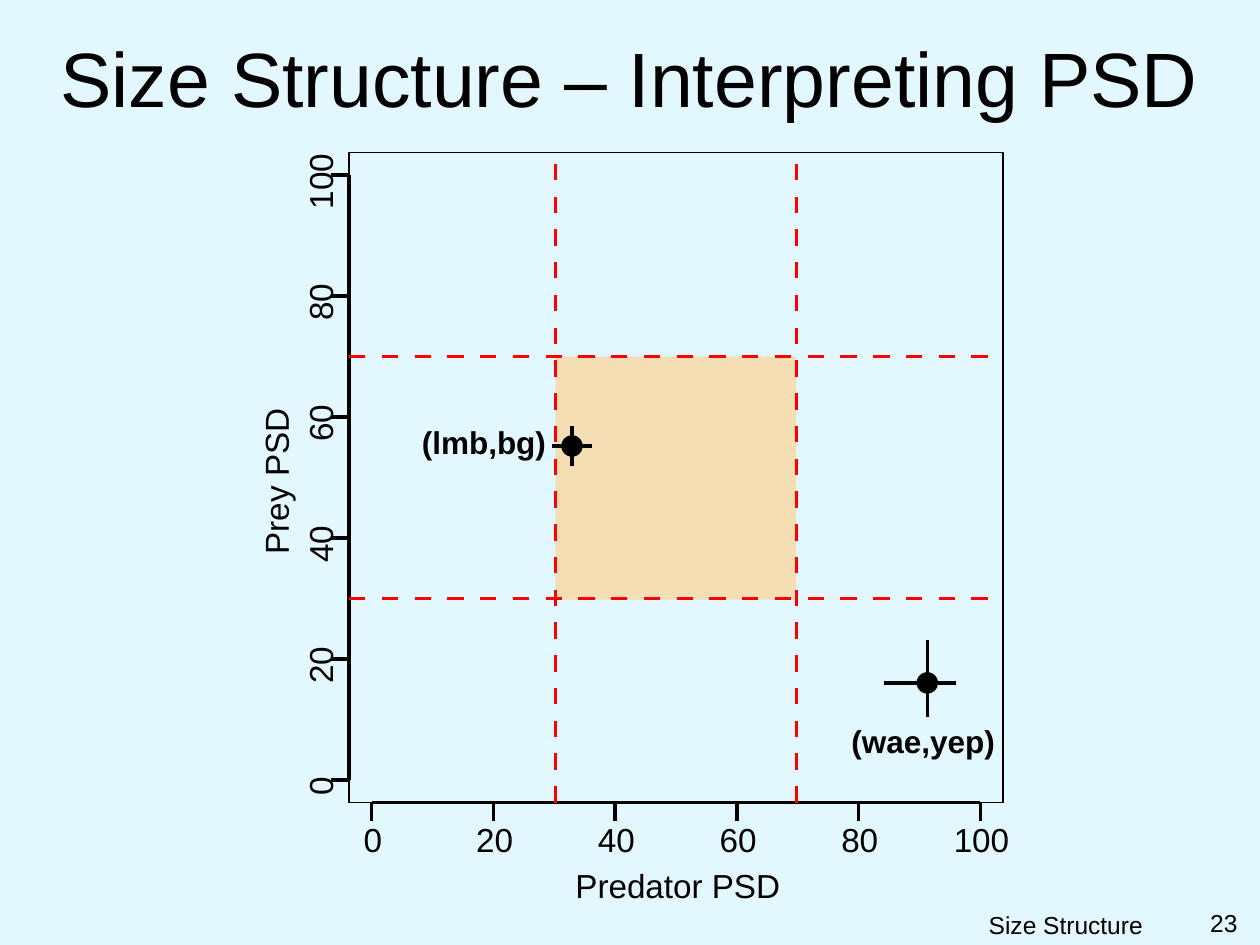
"""Build the slide on interpreting predator and prey PSD values."""
import pptx
import pptx.util
import pptx.dml.color
import pptx.enum.shapes
import pptx.enum.text
import pptx.oxml.ns
from lxml import etree

Inches, Pt = pptx.util.Inches, pptx.util.Pt
RGBColor = pptx.dml.color.RGBColor
SHAPE = pptx.enum.shapes.MSO_SHAPE
ALIGN = pptx.enum.text.PP_ALIGN
ANCHOR = pptx.enum.text.MSO_ANCHOR

BACKGROUND = RGBColor(0xE2, 0xF7, 0xFE)
BLACK = RGBColor(0, 0, 0)
RED = RGBColor(0xFF, 0, 0)
WHEAT = RGBColor(0xF5, 0xDE, 0xB3)

TITLE = "Size Structure – Interpreting PSD"
FOOTER = "Size Structure"
PAGE = "23"
X_TITLE = "Predator PSD"
Y_TITLE = "Prey PSD"
TICKS = [0, 20, 40, 60, 80, 100]

LEFT, TOP, WIDTH, HEIGHT = 2.77, 1.21, 5.19, 5.16
BOTTOM = TOP + HEIGHT
X_ZERO, X_STEP = 2.95, 0.966
Y_ZERO, Y_STEP = 6.19, 0.96
LIMITS_X = [6.32, 4.41]
LIMITS_Y = [4.75, 2.83]
DASH, DASH_STEP, DASHES = 0.13, 0.26, 20
DOT = 0.16

POINTS = [
    dict(label="(lmb,bg)", box=(3.25, 3.31, 1.19, 0.4), center=(4.54, 3.54),
         across=(4.38, 4.7), down=(3.38, 3.7)),
    dict(label="(wae,yep)", box=(6.66, 5.68, 1.34, 0.4), center=(7.36, 5.42),
         across=(7.02, 7.59), down=(5.08, 5.69)),
]


def add_text(s, text, box, size, align=ALIGN.LEFT, bold=False, rotation=0,
             inset=True, wrap=True, anchor=ANCHOR.TOP):
    sp = s.shapes.add_textbox(*map(Inches, box))
    sp.rotation = rotation
    tf = sp.text_frame
    tf.word_wrap = wrap
    tf.vertical_anchor = anchor
    if not inset:
        tf.margin_left = tf.margin_right = tf.margin_top = tf.margin_bottom = 0
    p = tf.paragraphs[0]
    p.alignment = align
    r = p.add_run()
    r.text = text
    r.font.name = "Arial"
    r.font.size = Pt(size)
    r.font.bold = bold
    r.font.color.rgb = BLACK


def add_axis_text(s, text, x, y, width, rotation=0):
    add_text(s, text, (x - width / 2, y - 0.17, width, 0.34), 19,
             ALIGN.CENTER, rotation=rotation, inset=False)


def add_line(s, x1, y1, x2, y2, color=BLACK):
    sp = s.shapes.add_connector(pptx.enum.shapes.MSO_CONNECTOR.STRAIGHT,
                                *map(Inches, (x1, y1, x2, y2)))
    sp.line.color.rgb = color
    sp.line.width = Pt(0)
    etree.SubElement(sp._element.spPr, pptx.oxml.ns.qn("a:effectLst"))


def add_area(s, kind, box, fill=None, line=None):
    sp = s.shapes.add_shape(kind, *map(Inches, box))
    sp.shadow.inherit = False
    if fill is None:
        sp.fill.background()
    else:
        sp.fill.solid()
        sp.fill.fore_color.rgb = fill
    if line is None:
        sp.line.fill.background()
    else:
        sp.line.color.rgb = line
        sp.line.width = Pt(0)


def add_axes(s):
    add_line(s, X_ZERO, BOTTOM, X_ZERO + 5 * X_STEP, BOTTOM)
    add_line(s, LEFT, Y_ZERO, LEFT, Y_ZERO - 5 * Y_STEP)
    for i, tick in enumerate(TICKS):
        x, y = X_ZERO + i * X_STEP, Y_ZERO - i * Y_STEP
        add_line(s, x, BOTTOM, x, BOTTOM + 0.15)
        add_axis_text(s, str(tick), x + 0.01, 6.67, 0.6)
        add_line(s, LEFT, y, LEFT - 0.14, y)
        add_axis_text(s, str(tick), 2.55, y + 0.05, 0.6, 270)
    add_area(s, SHAPE.RECTANGLE, (LEFT, TOP, WIDTH, HEIGHT), line=BLACK)
    add_axis_text(s, X_TITLE, 5.38, 7.04, 1.9)
    add_axis_text(s, Y_TITLE, 2.2, 3.82, 1.6, 270)


def add_limits(s):
    add_area(s, SHAPE.RECTANGLE, (4.41, 2.83, 1.91, 1.93), fill=WHEAT)
    for i in range(DASHES):
        x, y = LEFT + i * DASH_STEP, BOTTOM - i * DASH_STEP
        for limit in LIMITS_Y:
            add_line(s, x, limit, x + DASH, limit, RED)
        for limit in LIMITS_X:
            add_line(s, limit, y, limit, y - DASH, RED)


def add_point(s, point):
    x, y = point["center"]
    (x1, x2), (y1, y2) = point["across"], point["down"]
    add_text(s, point["label"], point["box"], 18, bold=True, wrap=False)
    add_area(s, SHAPE.OVAL, (x - DOT / 2, y - DOT / 2, DOT, DOT), BLACK, BLACK)
    add_line(s, x1, y, x2, y)
    add_line(s, x, y2, x, y1)


def main():
    prs = pptx.Presentation()
    prs.slide_width, prs.slide_height = Inches(10), Inches(7.5)
    s = prs.slides.add_slide(prs.slide_layouts[6])
    s.background.fill.solid()
    s.background.fill.fore_color.rgb = BACKGROUND
    add_text(s, FOOTER, (6, 7.17, 3.17, 0.25), 14, ALIGN.RIGHT)
    add_text(s, PAGE, (9.25, 7.16, 0.67, 0.34), 14, ALIGN.RIGHT)
    add_text(s, TITLE, (0.07, 0.13, 9.86, 0.95), 44, ALIGN.CENTER,
             anchor=ANCHOR.MIDDLE)
    add_axes(s)
    add_limits(s)
    for point in POINTS:
        add_point(s, point)
    prs.save("out.pptx")


if __name__ == "__main__":
    main()
